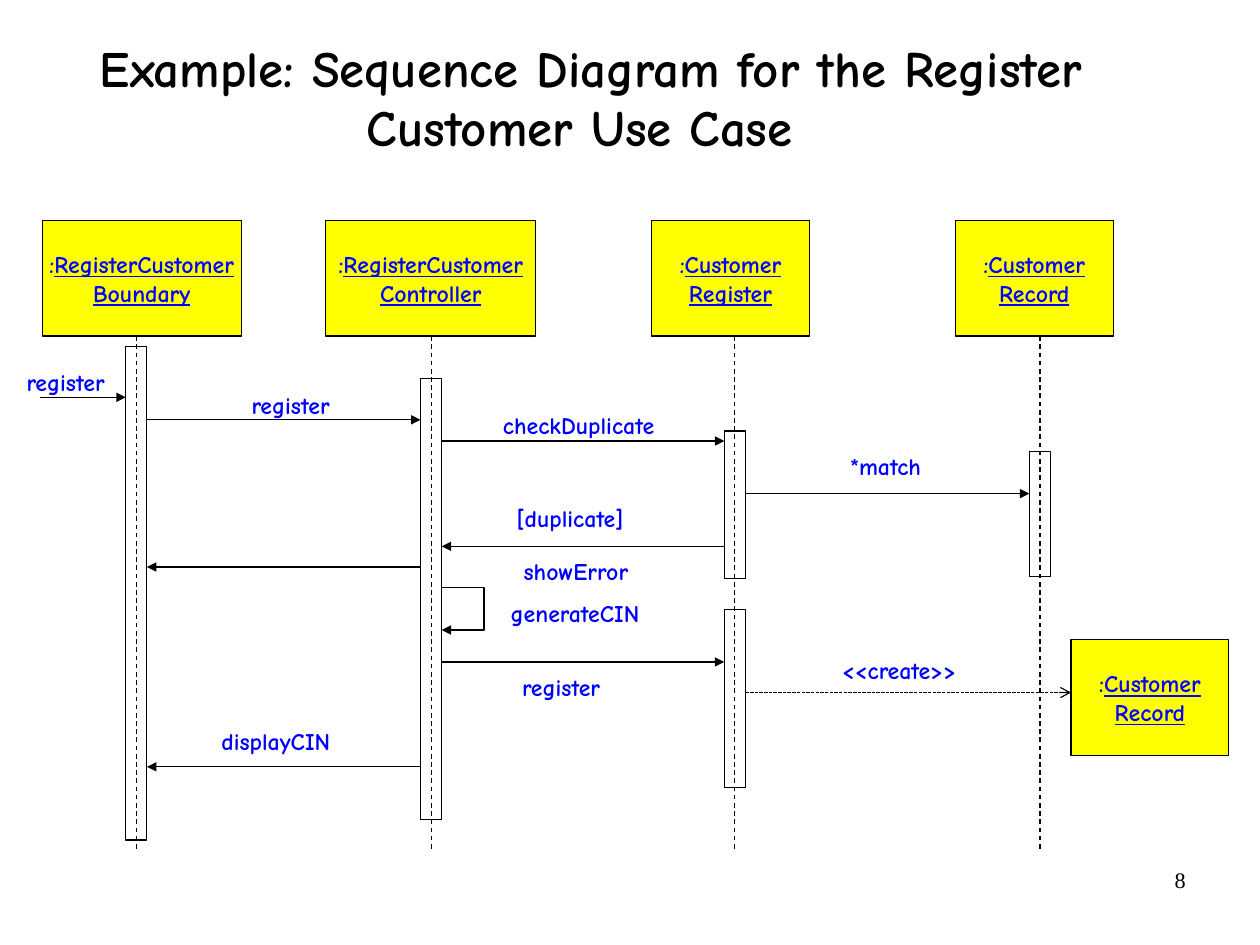
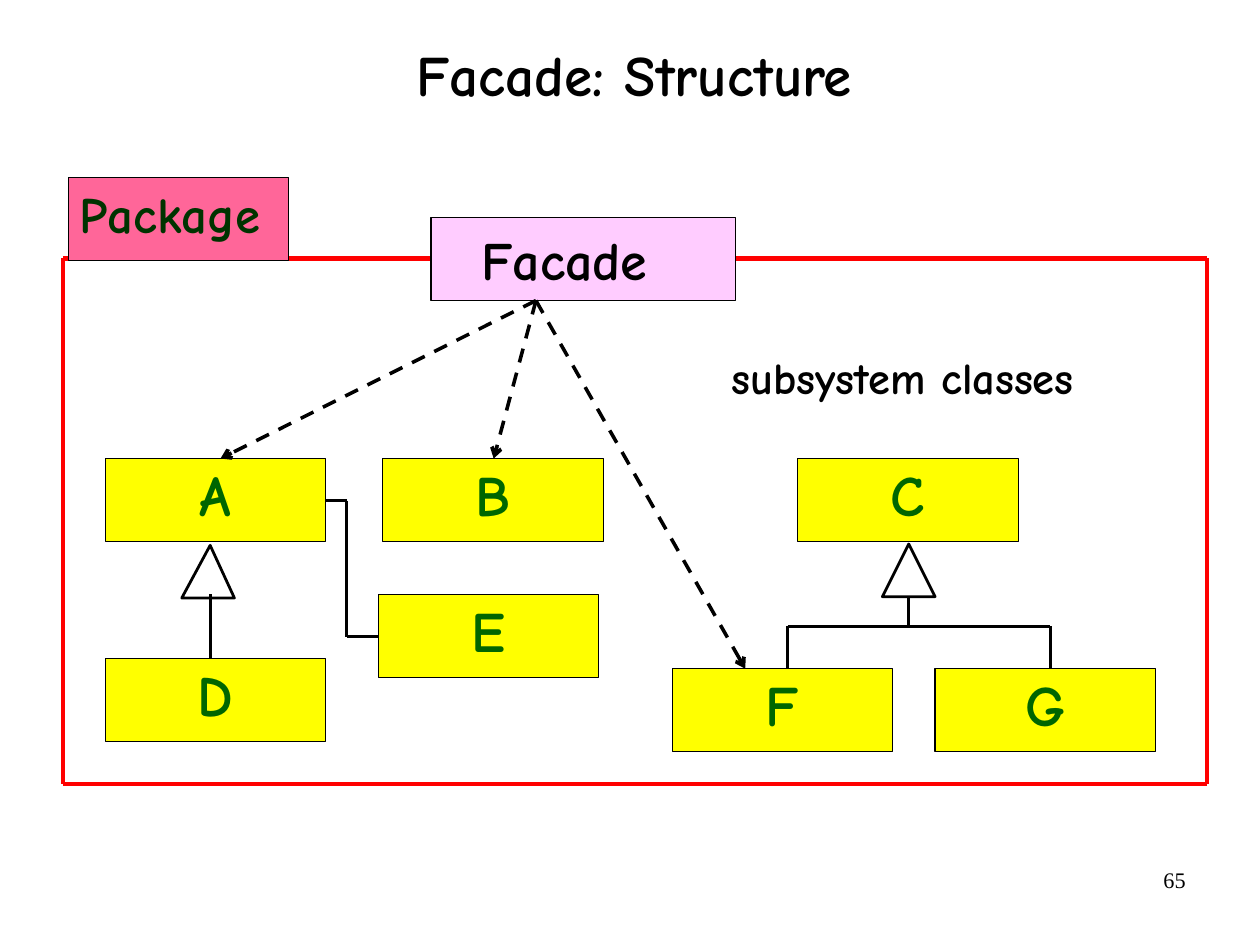
from lxml.etree import SubElement
from pptx import Presentation
from pptx.dml.color import RGBColor
from pptx.enum.dml import MSO_LINE
from pptx.enum.shapes import MSO_CONNECTOR, MSO_SHAPE
from pptx.enum.text import MSO_ANCHOR, PP_ALIGN
from pptx.oxml.ns import qn
from pptx.util import Cm, Pt

COLORS = {
    "ink": "000000", "label": "0000FF", "class": "006600", "tab": "003300",
    "yellow": "FFFF00", "lilac": "FFCCFF", "pink": "FF6699", "frame": "FF0000",
}
FONT = "Comic Neue"
FONT_NUMBER = "Times New Roman"
BAR_WIDTH = 0.47


class Board:
    """Holds the shared style and draws elements on the current slide."""

    def __init__(self):
        self.deck = Presentation()
        self.deck.slide_width, self.deck.slide_height = Cm(28), Cm(21)

    def start(self, number, title, box, spacing, size, tail=()):
        self.slide = self.deck.slides.add_slide(self.deck.slide_layouts[6])
        self.text((20.07, 19.13, 6.53, 1.45), [[(str(number), {})]], 14,
                  bold=False, font=FONT_NUMBER, align=PP_ALIGN.RIGHT,
                  insets=(0.25, 0.13), anchor=MSO_ANCHOR.TOP)
        self.text(box, [[(title, {}), *tail]], size, spacing=spacing)

    def fill_text(self, shape, paragraphs, size, color="ink", bold=True,
                  font=FONT, align=PP_ALIGN.CENTER, insets=(0, 0), spacing=1.0,
                  wrap=True, anchor=MSO_ANCHOR.MIDDLE):
        side, edge = (Cm(inset) for inset in insets)
        frame = shape.text_frame
        layout = {"word_wrap": wrap, "vertical_anchor": anchor,
                  "margin_left": side, "margin_right": side,
                  "margin_top": edge, "margin_bottom": edge}
        for name, value in layout.items():
            setattr(frame, name, value)
        for index, runs in enumerate(paragraphs):
            paragraph = frame.add_paragraph() if index else frame.paragraphs[0]
            paragraph.alignment, paragraph.line_spacing = align, spacing
            for words, changes in runs:
                run = paragraph.add_run()
                run.text = words
                style = {"name": font, "size": Pt(size), "bold": bold} | changes
                for name, value in style.items():
                    setattr(run.font, name, value)
                run.font.color.rgb = RGBColor.from_string(COLORS[color])

    def text(self, box, paragraphs, size, **style):
        shape = self.slide.shapes.add_textbox(*map(Cm, box))
        self.fill_text(shape, paragraphs, size, **style)

    def outline(self, shape, color="ink", width=0.75, dash=None, arrow=None):
        line = shape.line
        line.color.rgb = RGBColor.from_string(COLORS[color])
        line.width = Pt(width)
        if dash:
            line.dash_style = dash
        if arrow:
            SubElement(shape._element.spPr.find(qn("a:ln")), qn("a:tailEnd"),
                       type=arrow)

    def shape(self, box, fill=None, kind=MSO_SHAPE.RECTANGLE, width=0.75):
        shape = self.slide.shapes.add_shape(kind, *map(Cm, box))
        shape.shadow.inherit = False
        if fill:
            shape.fill.solid()
            shape.fill.fore_color.rgb = RGBColor.from_string(COLORS[fill])
        else:
            shape.fill.background()
        self.outline(shape, width=width)
        return shape

    def lines(self, *points, **style):
        for start, end in zip(points, points[1:]):
            line = self.slide.shapes.add_connector(
                MSO_CONNECTOR.STRAIGHT, *map(Cm, start + end))
            self.outline(line, **style)
            SubElement(line._element.spPr, qn("a:effectLst"))

    def self_call(self, x, y, size):
        pen = self.slide.shapes.build_freeform(Cm(x), Cm(y))
        corners = [(x + size, y), (x + size, y + size), (x, y + size)]
        pen.add_line_segments([(Cm(a), Cm(b)) for a, b in corners], close=False)
        loop = pen.convert_to_shape()
        loop.shadow.inherit = False
        loop.fill.background()
        self.outline(loop, arrow="triangle")

    def participant(self, left, top, width, first, second):
        under = {"underline": True}
        self.fill_text(self.shape((left, top, width, 2.57), "yellow"),
                       [[(":", {}), (first, under)], [(second, under)]],
                       15, color="label", insets=(0.28, 0.15), wrap=False)

    def message_label(self, words, center, top):
        width = 0.28 * len(words)
        self.text((center - width / 2, top, width, 0.64), [[(words, {})]], 15,
                  color="label", wrap=False, anchor=MSO_ANCHOR.TOP)

    def triangle(self, left, top, peak):
        shape = self.shape((left, top, 1.17, 1.17), width=1.75,
                           kind=MSO_SHAPE.ISOSCELES_TRIANGLE)
        shape.adjustments[0] = peak


def sequence_slide(board):
    board.start(8, "Example: Sequence Diagram for the Register Customer Use Case",
                (1.24, 0, 23.8, 4.6), 0.8, 32, tail=[(" ", {"size": Pt(40)})])
    participants = [
        (0.94, 4.9, 4.42, "RegisterCustomer", "Boundary"),
        (7.24, 4.9, 4.67, "RegisterCustomer", "Controller"),
        (14.48, 4.9, 3.51, "Customer", "Register"),
        (21.23, 4.9, 3.51, "Customer", "Record"),
        (23.8, 14.22, 3.51, "Customer", "Record"),
    ]
    for participant in participants:
        board.participant(*participant)

    lifelines = [3.03, 9.58, 16.33, 23.11]
    half = BAR_WIDTH / 2
    activations = [(0, 7.7, 10.97), (1, 8.41, 9.8), (2, 9.58, 3.28),
                   (2, 13.54, 3.96), (3, 10.03, 2.79)]
    for owner, top, height in activations:
        board.shape((lifelines[owner] - half, top, BAR_WIDTH, height))
    for x in lifelines:
        board.lines((x, 7.47), (x, 18.9), dash=MSO_LINE.DASH)

    messages = [(0, 1, 9.33), (1, 2, 9.8), (2, 3, 10.97), (2, 1, 12.14),
                (1, 0, 12.6), (1, 2, 14.71), (1, 0, 17.04)]
    for sender, receiver, y in messages:
        step = half if receiver > sender else -half
        board.lines((lifelines[sender] + step, y),
                    (lifelines[receiver] - step, y), arrow="triangle")
    board.lines((0.89, 8.83), (lifelines[0] - half, 8.83), arrow="triangle")
    board.lines((lifelines[2] + half, 15.39), (23.8, 15.39),
                dash=MSO_LINE.SQUARE_DOT, arrow="arrow")
    board.self_call(lifelines[1] + half, 13.06, 0.94)

    labels = [
        ("register", 1.46, 8.18), ("register", 6.46, 8.69),
        ("checkDuplicate", 12.86, 9.12), ("*match", 19.68, 10.03),
        ("[duplicate]", 12.67, 11.2), ("showError", 12.8, 12.37),
        ("generateCIN", 12.78, 13.31), ("register", 12.47, 14.94),
        ("<<create>>", 19.98, 14.58), ("displayCIN", 6.13, 16.15),
    ]
    for label in labels:
        board.message_label(*label)


def facade_slide(board):
    board.start(65, "Facade: Structure", (2.16, 0, 23.88, 3.48), 0.88, 36)
    board.lines((9.58, 5.74), (1.4, 5.74), (1.4, 17.42), (26.82, 17.42),
                (26.82, 5.74), (16.33, 5.74), color="frame", width=3)
    board.fill_text(board.shape((9.58, 4.83, 6.76, 1.85), "lilac"),
                    [[("Facade", {})]], 34, align=PP_ALIGN.LEFT,
                    insets=(1.12, 0))
    board.fill_text(board.shape((1.52, 3.94, 4.9, 1.85), "pink"),
                    [[("Package", {})]], 32, color="tab", align=PP_ALIGN.LEFT,
                    insets=(0.25, 0.13), spacing=0.8)
    board.text((15.98, 7.62, 8.18, 1.47), [[("subsystem classes", {})]], 28,
               align=PP_ALIGN.LEFT, insets=(0.28, 0.15), wrap=False,
               anchor=MSO_ANCHOR.TOP)

    classes = {"A": (2.34, 10.19), "B": (8.51, 10.19), "C": (17.73, 10.19),
               "D": (2.34, 14.63), "E": (8.41, 13.21), "F": (14.94, 14.86),
               "G": (20.78, 14.86)}
    for letter, corner in classes.items():
        board.fill_text(board.shape((*corner, 4.9, 1.85), "yellow"),
                        [[(letter, {})]], 36, color="class", spacing=0.8,
                        insets=(0.25, 0.13))

    board.triangle(4.04, 12.12, 0.54)
    board.triangle(19.61, 12.09, 0.5)
    relations = [
        [(4.67, 13.21), (4.67, 14.63)],
        [(7.24, 11.13), (7.7, 11.13), (7.7, 14.15), (8.41, 14.15)],
        [(20.19, 13.26), (20.19, 13.92)],
        [(17.5, 14.86), (17.5, 13.92), (23.34, 13.92), (23.34, 14.86)],
    ]
    for relation in relations:
        board.lines(*relation, width=1.75)
    for target in [(4.9, 10.19), (10.97, 10.19), (16.56, 14.86)]:
        board.lines((11.91, 6.68), target, width=2.25, dash=MSO_LINE.DASH,
                    arrow="arrow")


def main():
    board = Board()
    sequence_slide(board)
    facade_slide(board)
    board.deck.save("out.pptx")


if __name__ == "__main__":
    main()
